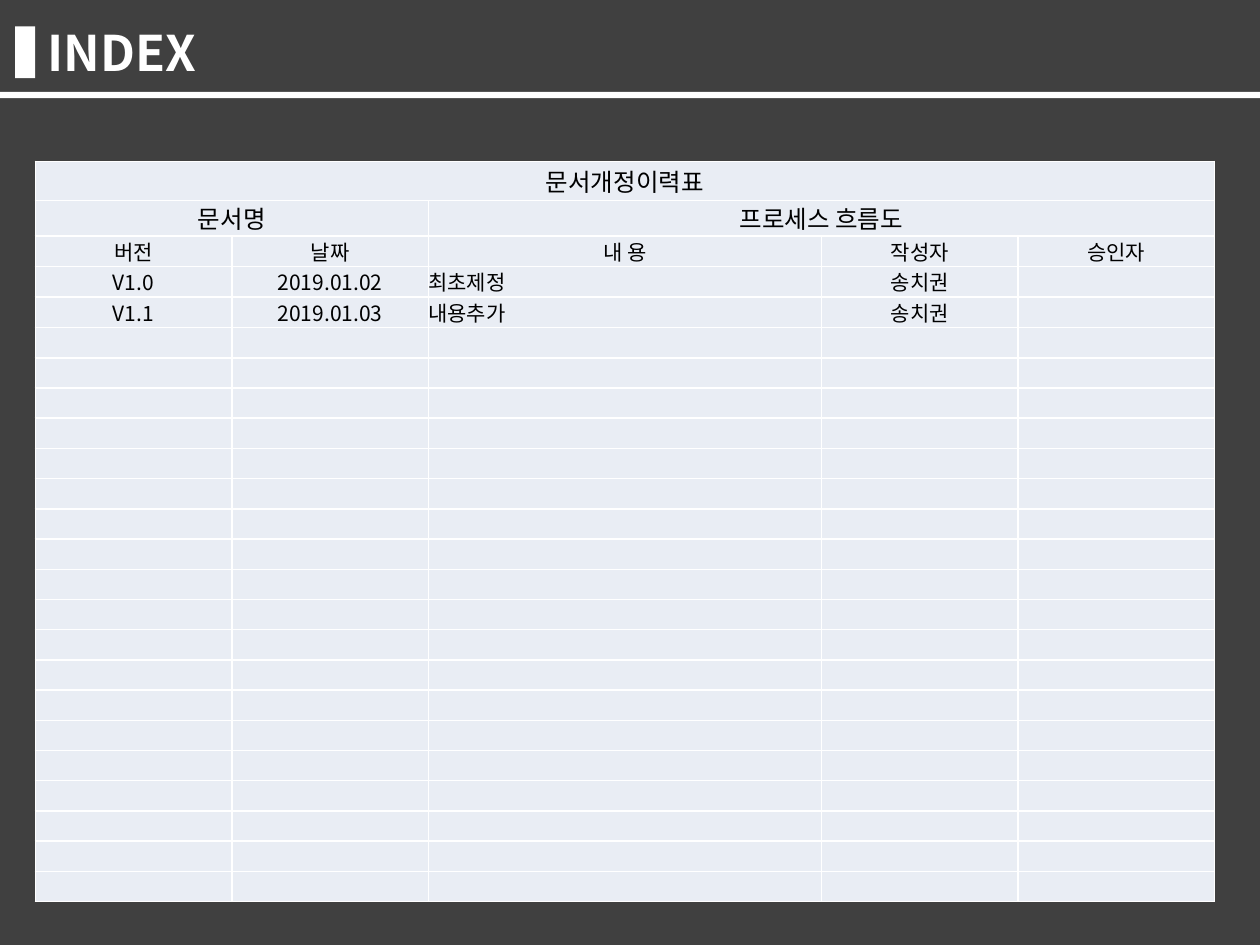
from lxml.etree import SubElement
from pptx import Presentation
from pptx.dml.color import RGBColor
from pptx.enum.shapes import MSO_SHAPE
from pptx.enum.text import MSO_ANCHOR, PP_ALIGN
from pptx.oxml.ns import qn
from pptx.util import Inches, Pt

# Content
TITLE = "INDEX"
TABLE_TITLE = "문서개정이력표"
DOCUMENT = ("문서명", "프로세스 흐름도")
HEADINGS = ("버전", "날짜", "내 용", "작성자", "승인자")
REVISIONS = [
    ("V1.0", "2019.01.02", "최초제정", "송치권", ""),
    ("V1.1", "2019.01.03", "내용추가", "송치권", ""),
]
ROWS = [
    (TABLE_TITLE, "", "", "", ""),
    (DOCUMENT[0], "", DOCUMENT[1], "", ""),
    HEADINGS,
    *REVISIONS,
]
MERGES = [(0, 0, 4), (1, 0, 1), (1, 2, 4)]  # row, first column, last column

# Style and grid
COLORS = {"dark": "404040", "white": "FFFFFF", "cell": "E9EDF4", "text": "000000"}
FONT = "Noto Sans CJK KR"
WIDTH, HEIGHT = 10, 7.5
ROW_COUNT = 24
HEAD_HEIGHTS = (0.31, 0.24, 0.22)
ROW_HEIGHT = 0.24
COLUMN = 1.56
COLUMN_SHARES = (1, 1, 2, 1, 1)
TABLE_LEFT, TABLE_TOP = 0.28, 1.28
CONTENT_COLUMN = 2


def color(name):
    return RGBColor.from_string(COLORS[name])


def add_bar(page, left, top, width, height, fill):
    bar = page.shapes.add_shape(
        MSO_SHAPE.RECTANGLE, *map(Inches, (left, top, width, height)))
    bar.shadow.inherit = False
    bar.fill.solid()
    bar.fill.fore_color.rgb = color(fill)
    bar.line.fill.background()


def add_text(para, text, size, fill, bold=False):
    span = para.add_run()
    span.text = text
    span.font.name = FONT
    span.font.size = Pt(size)
    span.font.bold = bold
    span.font.color.rgb = color(fill)
    SubElement(span.font._element, qn("a:ea"), typeface=FONT)


def set_borders(cell):
    properties = cell._tc.get_or_add_tcPr()
    for index, side in enumerate(("lnL", "lnR", "lnT", "lnB")):
        line = SubElement(properties, qn(f"a:{side}"), w=str(Pt(1)))
        solid = SubElement(line, qn("a:solidFill"))
        SubElement(solid, qn("a:srgbClr"), val=COLORS["white"])
        properties.remove(line)
        properties.insert(index, line)  # borders come before the fill


def format_cell(cell, text, row, column):
    cell.fill.solid()
    cell.fill.fore_color.rgb = color("cell")
    set_borders(cell)
    cell.margin_left = cell.margin_right = cell.margin_top = cell.margin_bottom = 0
    cell.vertical_anchor = MSO_ANCHOR.MIDDLE
    para = cell.text_frame.paragraphs[0]
    if text:
        is_content = column == CONTENT_COLUMN and row > 2
        para.alignment = PP_ALIGN.LEFT if is_content else PP_ALIGN.CENTER
        add_text(para, text, 14 if row < 2 else 12, "text")
    else:
        # A small end mark keeps empty rows at their set height
        SubElement(para._p, qn("a:endParaRPr"), sz="1000")


def add_history(page):
    heights = [*HEAD_HEIGHTS, *[ROW_HEIGHT] * (ROW_COUNT - len(HEAD_HEIGHTS))]
    widths = [COLUMN * share for share in COLUMN_SHARES]
    table = page.shapes.add_table(
        ROW_COUNT, len(widths), Inches(TABLE_LEFT), Inches(TABLE_TOP),
        Inches(sum(widths)), Inches(sum(heights))).table
    table.first_row = table.horz_banding = False
    for column, width in zip(table.columns, widths):
        column.width = Inches(width)
    blank = ("",) * len(widths)
    for r, height in enumerate(heights):
        table.rows[r].height = Inches(height)
        for c, text in enumerate(ROWS[r] if r < len(ROWS) else blank):
            format_cell(table.cell(r, c), text, r, c)
    for row, first, last in MERGES:
        table.cell(row, first).merge(table.cell(row, last))


def main():
    deck = Presentation()
    deck.slide_width, deck.slide_height = Inches(WIDTH), Inches(HEIGHT)
    page = deck.slides.add_slide(deck.slide_layouts[5])

    # Backdrop, then the title in front of it
    add_bar(page, 0, 0, WIDTH, HEIGHT, "dark")
    title = page.shapes.title
    page.shapes._spTree.append(title._element)
    title.left, title.top = Inches(0.28), Inches(0.13)
    title.width, title.height = Inches(8.98), Inches(0.57)
    title.text_frame.word_wrap = True
    title.text_frame.vertical_anchor = MSO_ANCHOR.MIDDLE
    para = title.text_frame.paragraphs[0]
    para.alignment = PP_ALIGN.LEFT
    add_text(para, TITLE, 28, "white", bold=True)

    # Title marker and rule
    add_bar(page, 0.12, 0.21, 0.16, 0.41, "white")
    add_bar(page, 0, 0.73, WIDTH, 0.05, "white")

    add_history(page)
    deck.save("out.pptx")


if __name__ == "__main__":
    main()
